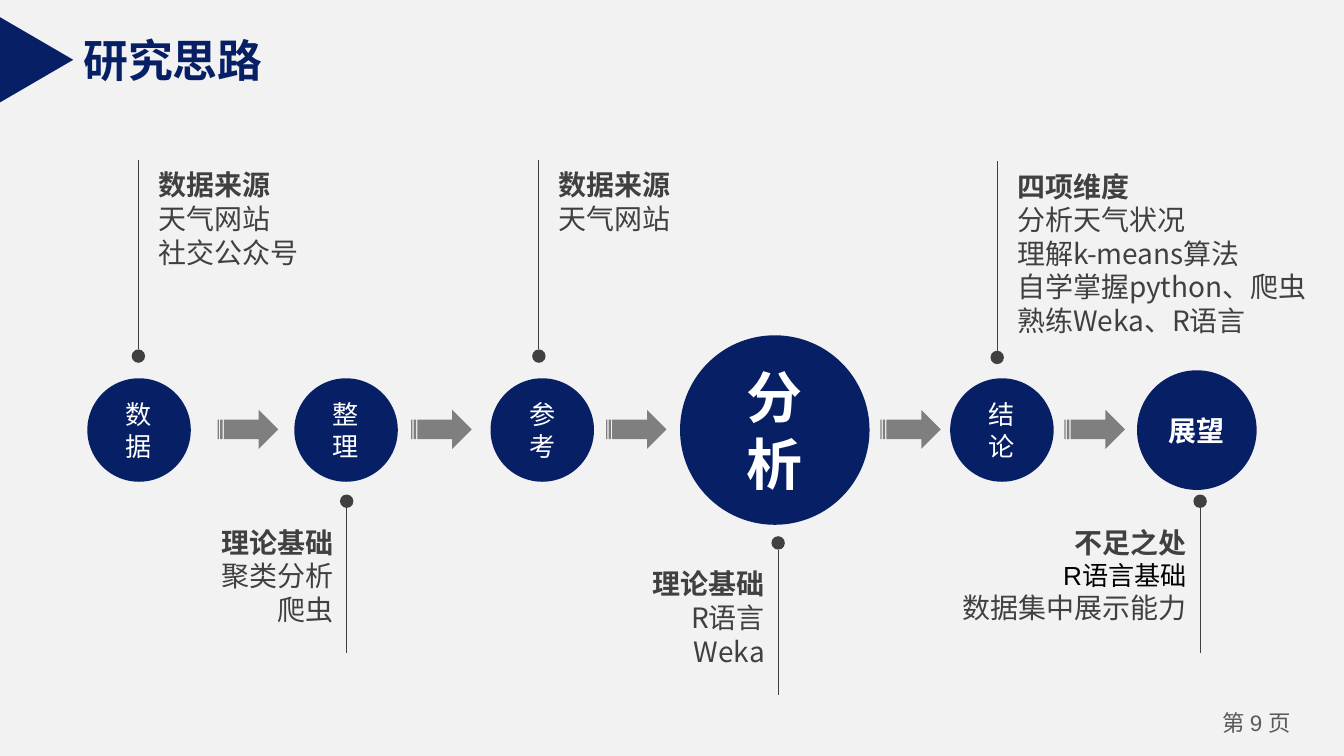
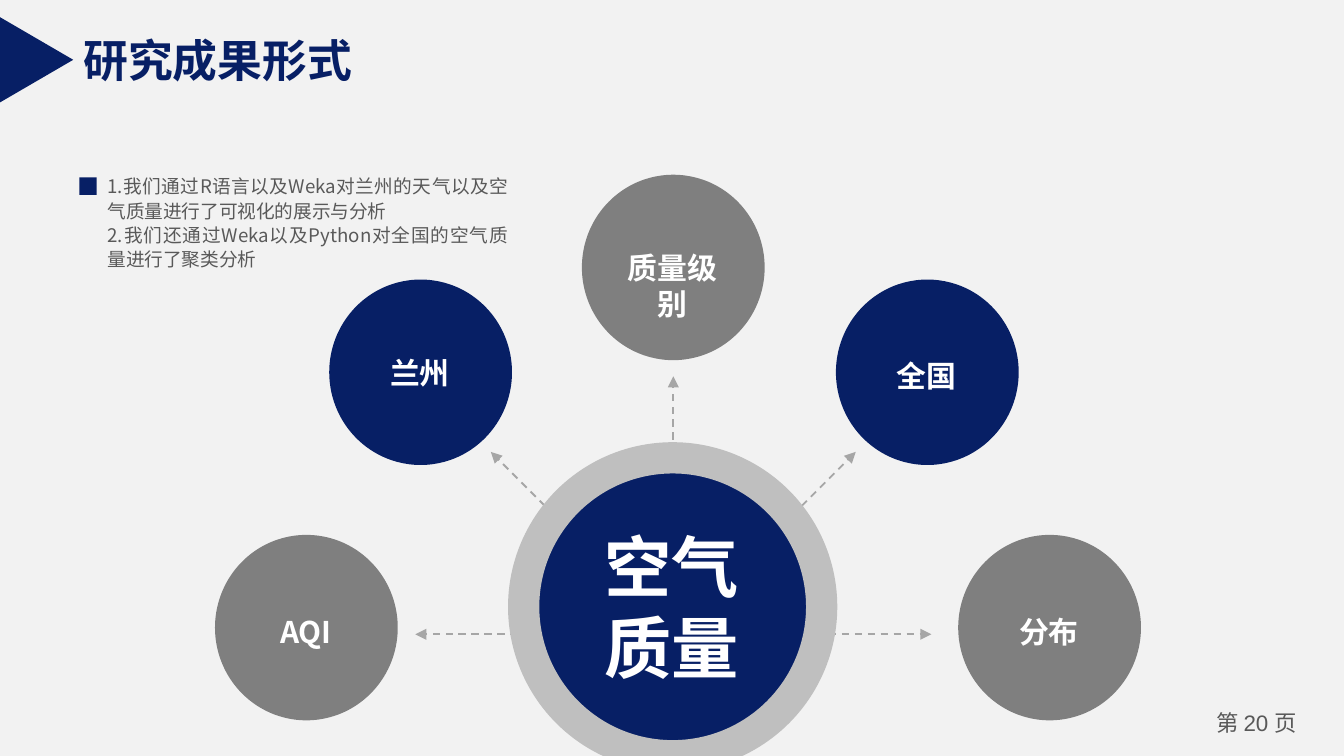
from math import cos, radians, sin

from lxml.etree import SubElement
from pptx import Presentation
from pptx.dml.color import RGBColor
from pptx.enum.dml import MSO_LINE
from pptx.enum.shapes import MSO_CONNECTOR, MSO_SHAPE
from pptx.enum.text import MSO_ANCHOR, MSO_AUTO_SIZE, PP_ALIGN
from pptx.oxml.ns import qn
from pptx.util import Inches, Pt

NAVY, GRAY, SILVER, RING = "071F65", "7F7F7F", "A6A6A6", "BFBFBF"
DARK, MUTED, WHITE, PAPER = "404040", "595959", "FFFFFF", "F2F2F2"
CJK, LATIN = "Noto Sans CJK SC", "Arial"
DEFAULT_INSETS = (0.1, 0.05)

TITLE = {"size": 24, "bold": True, "name": LATIN, "color": NAVY}
PAGE = {"size": 12, "color": MUTED}
STEP = {"size": 14, "color": WHITE}
KEY_STEP = {"size": 30, "bold": True, "color": WHITE}
LAST_STEP = {"size": 15, "bold": True, "color": WHITE}
HEADING = {"size": 15, "bold": True, "color": DARK}
DETAIL = {"size": 15, "bold": False, "color": DARK}
PLAIN = {"size": 14, "bold": False, "name": LATIN, "color": "000000"}
LABEL = {"size": 16, "bold": True, "color": WHITE}
CORE = {"size": 36, "bold": True, "color": WHITE}
NOTE = {"size": 10, "color": MUTED}


def rgb(hex_color):
    """Turn a hex string into a colour."""
    return RGBColor.from_string(hex_color)


def add_run(paragraph, text, style):
    """Append a run with its format values."""
    run = paragraph.add_run()
    run.text = text
    values = {"name": CJK, **style}
    run.font.color.rgb = rgb(values.pop("color"))
    values["size"] = Pt(values["size"])
    for attribute, value in values.items():
        setattr(run.font, attribute, value)
    SubElement(run.font._element, qn("a:ea"), typeface=CJK)


def write(shape, paragraphs, align=PP_ALIGN.LEFT, insets=DEFAULT_INSETS, spacing=None, **frame_values):
    """Fill a shape with paragraphs, each a list of (text, style) runs."""
    frame = shape.text_frame
    side, edge = map(Inches, insets)
    settings = {"margin_left": side, "margin_right": side, "margin_top": edge, "margin_bottom": edge,
                "word_wrap": True, "vertical_anchor": MSO_ANCHOR.TOP, **frame_values}
    for attribute, value in settings.items():
        setattr(frame, attribute, value)
    for index, runs in enumerate(paragraphs):
        paragraph = frame.add_paragraph() if index else frame.paragraphs[0]
        for attribute, value in {"alignment": align, "line_spacing": spacing, "space_before": Pt(0)}.items():
            setattr(paragraph, attribute, value)
        for text, style in runs:
            add_run(paragraph, text, style)


def add_text(slide, box, paragraphs, **options):
    """Add a text box."""
    write(slide.shapes.add_textbox(*map(Inches, box)), paragraphs, **options)


def add_figure(slide, preset, box, color):
    """Add a flat preset shape without outline."""
    figure = slide.shapes.add_shape(preset, *map(Inches, box))
    figure.shadow.inherit = False
    figure.fill.solid()
    figure.fill.fore_color.rgb = rgb(color)
    figure.line.fill.background()
    return figure


def add_line(slide, start, end, color, width, arrow=False):
    """Add a thin line, or a dashed arrow."""
    line = slide.shapes.add_connector(MSO_CONNECTOR.STRAIGHT, *map(Inches, (*start, *end)))
    line.line.color.rgb = rgb(color)
    line.line.width = Pt(width)
    if arrow:
        line.line.dash_style = MSO_LINE.DASH
        SubElement(line.line._get_or_add_ln(), qn("a:tailEnd"), type="triangle")
    SubElement(line._element.spPr, qn("a:effectLst"))


def add_page(deck, heading, heading_width, number):
    """Add a slide with its title, pointer and page number."""
    slide = deck.slides.add_slide(deck.slide_layouts[5])
    title = slide.shapes.title
    place = {"left": 0.52, "top": 0.19, "width": heading_width, "height": 0.5}
    for attribute, value in place.items():
        setattr(title, attribute, Inches(value))
    write(title, [[(heading, TITLE)]], word_wrap=False, auto_size=MSO_AUTO_SIZE.SHAPE_TO_FIT_TEXT)
    pointer = add_figure(slide, MSO_SHAPE.ISOSCELES_TRIANGLE, (-0.05, 0.17, 0.64, 0.55), NAVY)
    pointer.rotation = 90
    page_runs = [("第 ", PAGE), (f"{number} ", {**PAGE, "name": LATIN}), ("页", PAGE)]
    add_text(slide, (8.9, 5.24, 0.9, 0.3), [page_runs], align=PP_ALIGN.CENTER, insets=(0.07, 0.04))
    return slide


def add_step(slide, left, size, name, style):
    """Add one round step centred on the process axis."""
    circle = add_figure(slide, MSO_SHAPE.OVAL, (left, 3.2 - size / 2, size, size), NAVY)
    write(circle, [[(name, style)]], align=PP_ALIGN.CENTER, vertical_anchor=MSO_ANCHOR.MIDDLE)


def add_callout(slide, stem, dot_top, width, above, paragraphs, wrap=False):
    """Add a dot, its stem and a note above or below a step."""
    add_figure(slide, MSO_SHAPE.OVAL, (stem - 0.05, dot_top, 0.1, 0.1), DARK)
    start, end = (dot_top, dot_top - 1.41) if above else (dot_top + 0.1, dot_top + 1.18)
    add_line(slide, (stem, start), (stem, end), DARK, 0.5)
    left, top = (stem + 0.05, dot_top - 1.4) if above else (stem - width, dot_top + 0.18)
    height = 0.11 + 0.25 * len(paragraphs)
    align = PP_ALIGN.LEFT if above else PP_ALIGN.RIGHT
    add_text(slide, (left, top, width, height), paragraphs, align=align, word_wrap=wrap)


def note(heading, *details):
    """Build a bold heading followed by plain lines."""
    return [[(heading, HEADING)], *([(detail, DETAIL)] for detail in details)]


def build_process(deck):
    """Build the research process slide."""
    slide = add_page(deck, "研究思路", 1.55, 9)
    steps = [(0.65, 0.77, "数据", STEP), (2.19, 0.77, "整理", STEP), (3.65, 0.77, "参考", STEP),
             (5.06, 1.41, "分析", KEY_STEP), (7.07, 0.77, "结论", STEP), (8.46, 0.89, "展望", LAST_STEP)]
    for step in steps:
        add_step(slide, *step)
    for left in (1.62, 3.06, 4.51, 6.55, 7.92):
        add_figure(slide, MSO_SHAPE.STRIPED_RIGHT_ARROW, (left, 3.05, 0.45, 0.29), GRAY)

    shortcomings = note("不足之处", "数据集中展示能力")
    shortcomings.insert(1, [("R语言基础", PLAIN)])
    dimensions = note("四项维度", "分析天气状况", "理解k-means算法", "自学掌握python、爬虫", "熟练Weka、R语言")
    add_callout(slide, 1.03, 2.6, 1.25, True, note("数据来源", "天气网站", "社交公众号"))
    add_callout(slide, 2.58, 3.68, 1.04, False, note("理论基础", "聚类分析", "爬虫"))
    add_callout(slide, 4.01, 2.6, 1.04, True, note("数据来源", "天气网站"))
    add_callout(slide, 5.79, 3.99, 1.04, False, note("理论基础", "R语言", "Weka"))
    add_callout(slide, 7.42, 2.61, 2.39, True, dimensions, wrap=True)
    add_callout(slide, 8.93, 3.68, 1.88, False, shortcomings)


def build_results(deck):
    """Build the research results slide."""
    slide = add_page(deck, "研究成果形式", 2.22, 20)
    hub_x, hub_y, reach = 5.01, 4.72, 1.92
    for angle in range(0, 181, 45):
        tip = (hub_x + reach * cos(radians(angle)), hub_y - reach * sin(radians(angle)))
        add_line(slide, (hub_x, hub_y), tip, SILVER, 1, arrow=True)

    add_figure(slide, MSO_SHAPE.OVAL, (3.97, 3.49, 2.05, 2.05), NAVY)
    ring = add_figure(slide, MSO_SHAPE.DONUT, (3.78, 3.29, 2.45, 2.45), RING)
    ring.adjustments[0] = 0.095
    add_text(slide, (4.35, 3.86, 1.29, 1.31), [[("空气质量", CORE)]], align=PP_ALIGN.CENTER)

    topics = [(1.6, 3.98, GRAY, "AQI", 4.51, 0.39), (2.45, 2.08, NAVY, "兰州", 2.58, 0.39),
              (4.33, 1.3, GRAY, "质量级别", 1.8, 0.66), (6.22, 2.08, NAVY, "全国", 2.6, 0.39),
              (7.13, 3.98, GRAY, "分布", 4.51, 0.39)]
    for left, top, color, name, label_top, label_height in topics:
        add_figure(slide, MSO_SHAPE.OVAL, (left, top, 1.36, 1.38), color)
        add_text(slide, (left + 0.19, label_top, 0.97, label_height), [[(name, LABEL)]],
                 align=PP_ALIGN.CENTER, insets=(0.12, 0.06))

    findings = ["1.我们通过R语言以及Weka对兰州的天气以及空气质量进行了可视化的展示与分析",
                "2.我们还通过Weka以及Python对全国的空气质量进行了聚类分析"]
    add_text(slide, (0.8, 1.29, 2.98, 0.72), [[(finding, NOTE)] for finding in findings],
             align=PP_ALIGN.JUSTIFY, insets=(0, 0), spacing=Pt(13))
    add_figure(slide, MSO_SHAPE.RECTANGLE, (0.59, 1.32, 0.13, 0.13), NAVY)


def main():
    """Build and save the deck."""
    deck = Presentation()
    deck.slide_width = Inches(10)
    deck.slide_height = deck.slide_width * 9 // 16
    backdrop = deck.slide_master.background.fill
    backdrop.solid()
    backdrop.fore_color.rgb = rgb(PAPER)
    build_process(deck)
    build_results(deck)
    deck.save("out.pptx")


if __name__ == "__main__":
    main()
